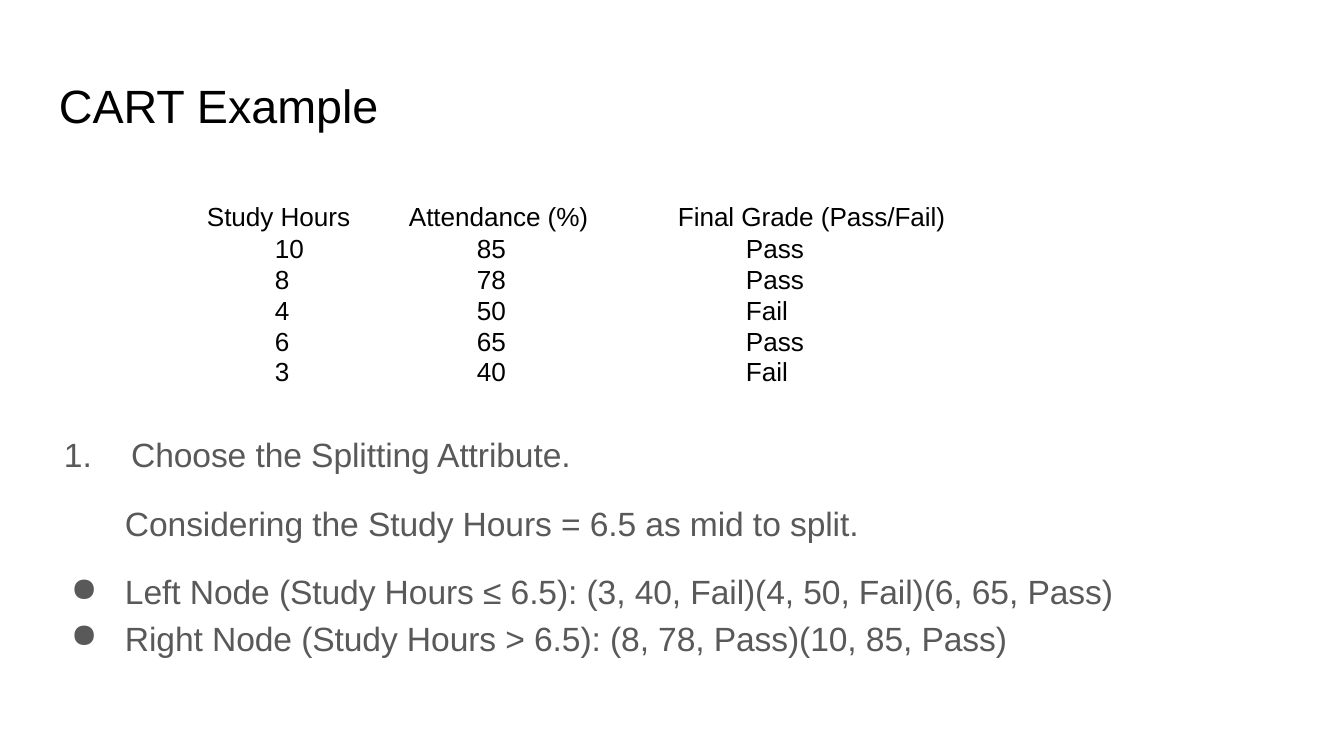
from lxml.etree import SubElement
from pptx import Presentation
from pptx.dml.color import RGBColor
from pptx.oxml.ns import qn
from pptx.util import Emu, Pt

SCALE = 914400 / 134.4  # EMU in one px
BLACK = RGBColor(0, 0, 0)
GRAY = RGBColor(0x59, 0x59, 0x59)
FONT = "Arial"

TEXT_INDENT = 63
BULLET_HANG = 54
ROW_HEIGHT = 31
VALUE_SHIFT = 68  # values start this far right of their heading

# Heading, column width, heading indent
COLUMNS = [
    ("Study Hours", 177, 4),
    ("Attendance (%)", 253, 29),
    ("Final Grade (Pass/Fail)", 317, 45),
]
RECORDS = [
    ("10", "85", "Pass"),
    ("8", "78", "Pass"),
    ("4", "50", "Fail"),
    ("6", "65", "Pass"),
    ("3", "40", "Fail"),
]


def px(length):
    return Emu(round(length * SCALE))


def add_span(para, text, size, color, spacing=-5):
    span = para.add_run()
    span.text = text
    span.font.name = FONT
    span.font.size = Pt(size)
    span.font.color.rgb = color
    span.font._element.set("spc", str(spacing))


def set_indent(para, left, first=0):
    props = para._p.get_or_add_pPr()
    props.set("marL", str(px(left)))
    props.set("indent", str(px(first)))
    return props


def add_box(page, left, top, width, height, top_inset):
    box = page.shapes.add_textbox(px(left), px(top), px(width), px(height))
    frame = box.text_frame
    frame.word_wrap = True
    frame.margin_left = frame.margin_right = frame.margin_bottom = 0
    frame.margin_top = px(top_inset)
    return frame


def add_title(page):
    para = add_box(page, 57, 74, 325, 60, 3).paragraphs[0]
    set_indent(para, 2)
    para.space_before = Pt(1.2)
    add_span(para, "CART Example", 25, BLACK, 0)


def add_grades(page):
    width = sum(column[1] for column in COLUMNS)
    count = len(RECORDS) + 1
    table = page.shapes.add_table(count, len(COLUMNS), px(203), px(204),
                                  px(width), px(ROW_HEIGHT * count)).table
    table.first_row = table.horz_banding = False
    for row in table.rows:
        row.height = px(ROW_HEIGHT)
    for col, (heading, column_width, indent) in enumerate(COLUMNS):
        table.columns[col].width = px(column_width)
        texts = [heading] + [record[col] for record in RECORDS]
        for row, text in enumerate(texts):
            cell = table.cell(row, col)
            cell.fill.background()
            cell.margin_left = cell.margin_right = 0
            cell.margin_top = cell.margin_bottom = 0
            para = cell.text_frame.paragraphs[0]
            set_indent(para, indent + (VALUE_SHIFT if row else 0))
            para.line_spacing = Pt(15.8 if 0 < row < count - 1 else 15.2)
            add_span(para, text, 14, BLACK)


def add_step(para, text, before, left, first=0, bullet=None, tab=None):
    para.space_before = Pt(before)
    props = set_indent(para, left, first)
    if bullet:
        SubElement(props, qn("a:buChar")).set("char", bullet)
    if tab:
        stops = SubElement(props, qn("a:tabLst"))
        SubElement(stops, qn("a:tab"), pos=str(px(tab)), algn="l")
    add_span(para, text, 18, GRAY)


def add_steps(page):
    frame = add_box(page, 62, 433, 1059, 228, 1)
    # Numbered step and its explanation
    add_step(frame.paragraphs[0], "1.\tChoose the Splitting Attribute.", 1, 2,
             tab=TEXT_INDENT)
    add_step(frame.add_paragraph(),
             "Considering the Study Hours = 6.5 as mid to split.",
             15.2, TEXT_INDENT)
    # Resulting nodes
    nodes = [
        ("Left Node (Study Hours ≤ 6.5): "
         "(3, 40, Fail)(4, 50, Fail)(6, 65, Pass)", 15.2),
        ("Right Node (Study Hours > 6.5): (8, 78, Pass)(10, 85, Pass)", 3.2),
    ]
    for text, before in nodes:
        add_step(frame.add_paragraph(), text, before, TEXT_INDENT,
                 -BULLET_HANG, bullet="●")


def main():
    deck = Presentation()
    deck.slide_width, deck.slide_height = px(1344), px(756)
    page = deck.slides.add_slide(deck.slide_layouts[6])
    add_title(page)
    add_steps(page)
    add_grades(page)
    deck.save("out.pptx")


if __name__ == "__main__":
    main()
